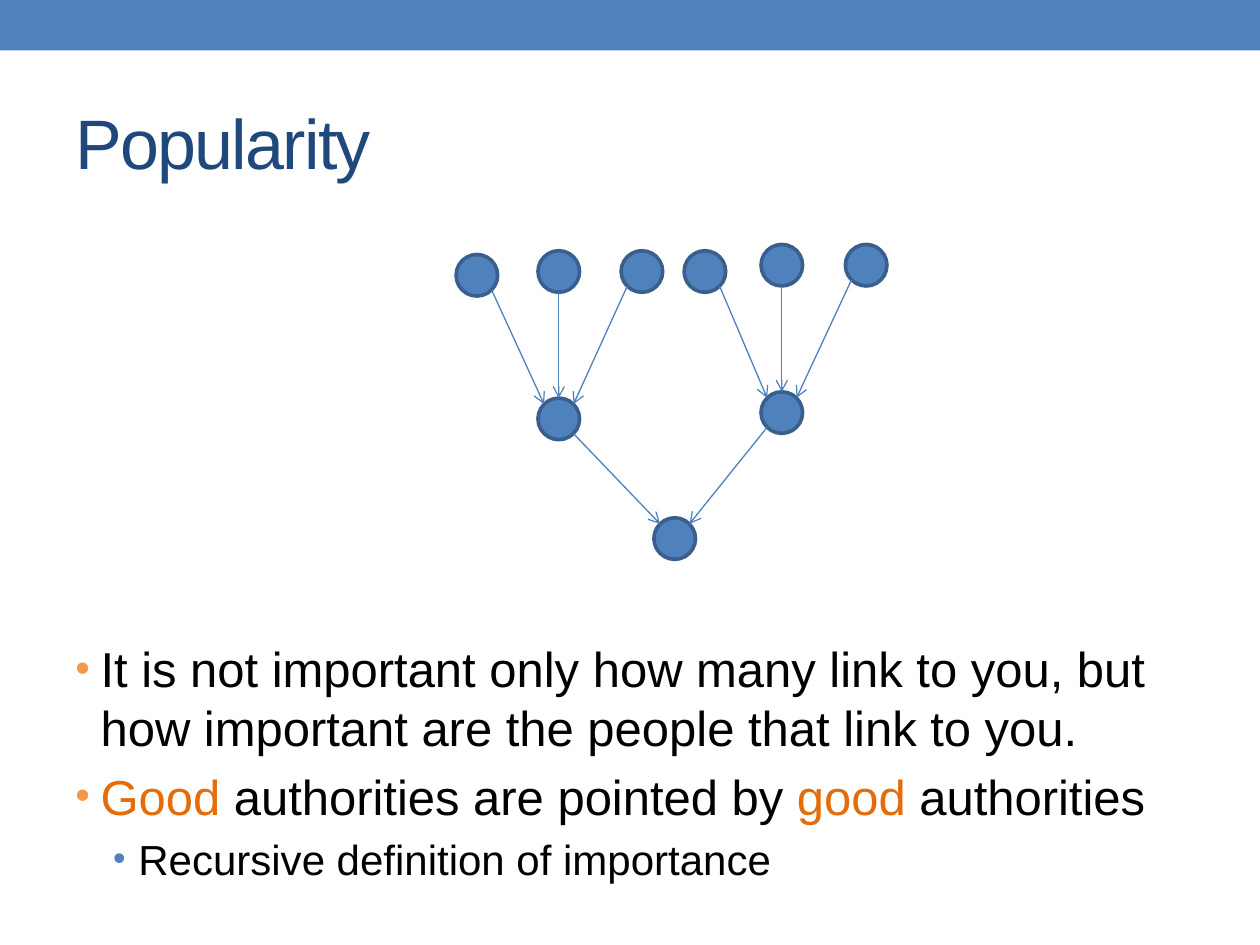
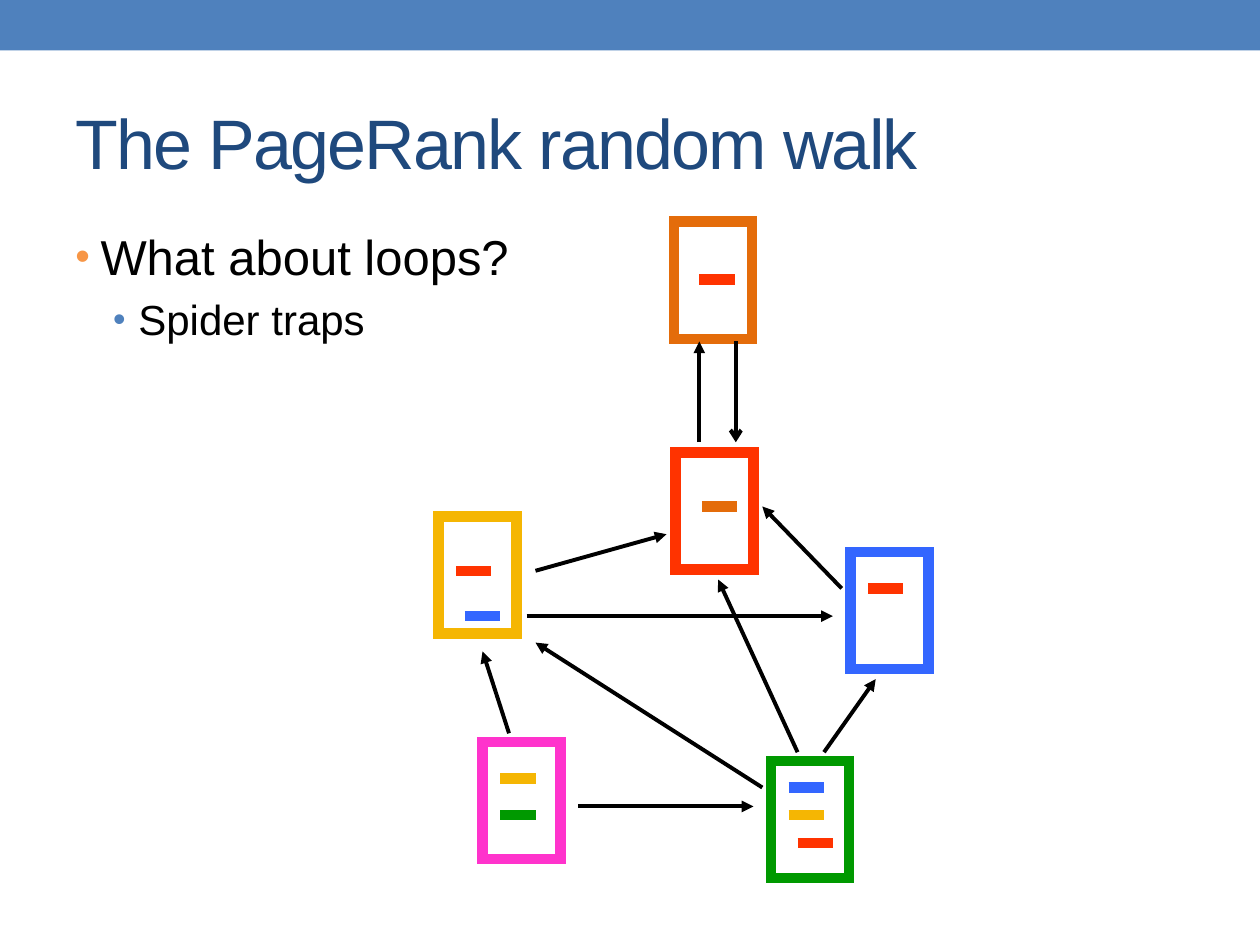
from lxml.etree import SubElement
from pptx import Presentation
from pptx.dml.color import RGBColor
from pptx.enum.shapes import MSO_CONNECTOR as CXN, MSO_SHAPE as SHAPE
from pptx.enum.text import MSO_ANCHOR as ANCHOR
from pptx.oxml.ns import qn
from pptx.util import Inches, Pt

# ---- Shared look ----
FONT = "Arial"
COLORS = {
    "band": "4F81BD", "title": "1F497D", "text": "000000", "accent": "E46C0A",
    "bullet": "F79646", "outline": "3A5F8C", "white": "FFFFFF",
    "yellow": "F5B603", "pink": "FF33CC", "green": "009900",
    "blue": "3366FF", "red": "FF3300", "orange": "E46C0A",
}
LEVELS = [  # text size, left indent, bullet colour
    (28, 0.2, "bullet"),
    (24, 0.5, "band"),
]
WIDTH, HEIGHT = 10, 7.5
MARGIN = WIDTH / 20

# ---- Popularity: text (level, runs) and link graph ----
POPULARITY = [
    (0, [("It is not important only how many link to you, "
          "but how important are the people that link to you.", "text")]),
    (0, [("Good ", "accent"), ("authorities are pointed by ", "text"),
         ("good ", "accent"), ("authorities", "text")]),
    (1, [("Recursive definition of importance", "text")]),
]
DOT = 0.33
DOTS = {  # top left corners
    "a": (3.62, 2.02), "b": (4.27, 1.99), "c": (4.93, 1.99),
    "d": (5.43, 1.99), "e": (6.04, 1.94), "f": (6.71, 1.94),
    "left": (4.27, 3.16), "right": (6.04, 3.11), "top authority": (5.19, 4.11),
}
LINKS = {"left": "abc", "right": "def", "top authority": ("left", "right")}

# ---- Random walk: text, pages with their link bars, and arrows ----
WALK = [
    (0, [("What about loops?", "text")]),
    (1, [("Spider traps", "text")]),
]
PAGE_W, PAGE_H, BAR_W = 0.62, 0.93, 0.28
PAGES = [  # colour, left, top, bars (colour, x and y inside the page)
    ("yellow", 3.48, 4.10, [("blue", 0.21, 0.79), ("red", 0.14, 0.43)]),
    ("pink", 3.83, 5.89, [("green", 0.14, 0.58), ("yellow", 0.14, 0.29)]),
    ("green", 6.12, 6.04, [("yellow", 0.14, 0.43), ("blue", 0.14, 0.21),
                           ("red", 0.21, 0.65)]),
    ("blue", 6.75, 4.38, [("red", 0.14, 0.29)]),
    ("red", 5.36, 3.59, [("orange", 0.21, 0.43)]),
    ("orange", 5.35, 1.76, [("red", 0.20, 0.46)]),
]
ARROWS = [  # start, end, head
    ((4.59, 6.40), (5.98, 6.40), "triangle"),
    ((4.04, 5.82), (3.83, 5.17), "triangle"),
    ((4.25, 4.53), (5.29, 4.24), "triangle"),
    ((4.18, 4.89), (6.61, 4.89), "triangle"),
    ((6.68, 4.67), (6.05, 4.02), "triangle"),
    ((6.33, 5.97), (5.70, 4.60), "triangle"),
    ((6.54, 5.97), (6.95, 5.39), "triangle"),
    ((6.05, 6.25), (4.25, 5.10), "triangle"),
    ((5.55, 3.51), (5.55, 2.71), "triangle"),
    ((5.84, 2.71), (5.84, 3.51), "arrow"),
]


def rgb(name):
    return RGBColor.from_string(COLORS[name])


def add_box(slide, kind, box, fill, line=None, width=0):
    sp = slide.shapes.add_shape(kind, *map(Inches, box))
    sp.shadow.inherit = False
    sp.fill.solid()
    sp.fill.fore_color.rgb = rgb(fill)
    if line:
        sp.line.color.rgb = rgb(line)
        sp.line.width = Pt(width)
        SubElement(sp.line._get_or_add_ln(), qn("a:miter"), lim="800000")
    else:
        sp.line.fill.background()


def add_line(slide, start, end, color, width, head=None):
    cxn = slide.shapes.add_connector(CXN.STRAIGHT, *map(Inches, start + end))
    cxn.line.color.rgb = rgb(color)
    cxn.line.width = Pt(width)
    if head:
        SubElement(cxn.line._get_or_add_ln(), qn("a:tailEnd"), type=head)
    SubElement(cxn._element.spPr, qn("a:effectLst"))


def add_text_box(slide, top, height):
    box = (MARGIN, top, WIDTH - 2 * MARGIN, height)
    tf = slide.shapes.add_textbox(*map(Inches, box)).text_frame
    tf.word_wrap = True
    return tf


def add_run(p, text, size, color):
    r = p.add_run()
    r.text = text
    r.font.name = FONT
    r.font.size = Pt(size)
    r.font.color.rgb = rgb(color)
    return r


def add_bullets(slide, items, top):
    tf = add_text_box(slide, top, 7.08 - top)
    for i, (level, runs) in enumerate(items):
        size, indent, color = LEVELS[level]
        p = tf.paragraphs[0] if i == 0 else tf.add_paragraph()
        p.level = level
        p.space_before = Pt(0.2 * size)
        pPr = p._p.get_or_add_pPr()
        pPr.set("marL", str(Inches(indent)))
        pPr.set("indent", str(Inches(-0.2)))
        SubElement(SubElement(pPr, qn("a:buClr")), qn("a:srgbClr"), val=COLORS[color])
        SubElement(pPr, qn("a:buSzPct"), val="85000")
        SubElement(pPr, qn("a:buFont"), typeface=FONT)
        SubElement(pPr, qn("a:buChar"), char="•")
        for text, run_color in runs:
            add_run(p, text, size, run_color)


def add_slide(prs, title):
    slide = prs.slides.add_slide(prs.slide_layouts[6])
    add_box(slide, SHAPE.RECTANGLE, (0, 0, WIDTH, 0.4), "band")
    tf = add_text_box(slide, 0.58, 1.08)
    tf.vertical_anchor = ANCHOR.MIDDLE
    r = add_run(tf.paragraphs[0], title, 40, "title")
    r._r.get_or_add_rPr().set("spc", "-100")
    return slide


def rim_points(source, target):
    """Ends of a downward link: straight below, or on the diagonals."""
    (x1, y1), (x2, y2) = ((x + DOT / 2, y + DOT / 2) for x, y in (source, target))
    side = (x2 > x1) - (x2 < x1)
    reach = DOT / 2 * (0.71 if side else 1)
    return (x1 + side * reach, y1 + reach), (x2 - side * reach, y2 - reach)


def popularity_slide(prs):
    slide = add_slide(prs, "Popularity")
    add_bullets(slide, POPULARITY, 5.02)
    for x, y in DOTS.values():
        add_box(slide, SHAPE.OVAL, (x, y, DOT, DOT), "band", "outline", 2.08)
    for target, sources in LINKS.items():
        for source in sources:
            start, end = rim_points(DOTS[source], DOTS[target])
            add_line(slide, start, end, "band", 0.75, "arrow")


def walk_slide(prs):
    slide = add_slide(prs, "The PageRank random walk")
    add_bullets(slide, WALK, 1.75)
    for color, left, top, bars in PAGES:
        add_box(slide, SHAPE.RECTANGLE, (left, top, PAGE_W, PAGE_H), "white", color, 6)
        for bar_color, dx, dy in bars:
            x, y = left + dx, top + dy
            add_line(slide, (x, y), (x + BAR_W, y), bar_color, 6)
    for start, end, head in ARROWS:
        add_line(slide, start, end, "text", 2.25, head)


def main():
    prs = Presentation()
    prs.slide_width, prs.slide_height = Inches(WIDTH), Inches(HEIGHT)
    popularity_slide(prs)
    walk_slide(prs)
    prs.save("out.pptx")


if __name__ == "__main__":
    main()
